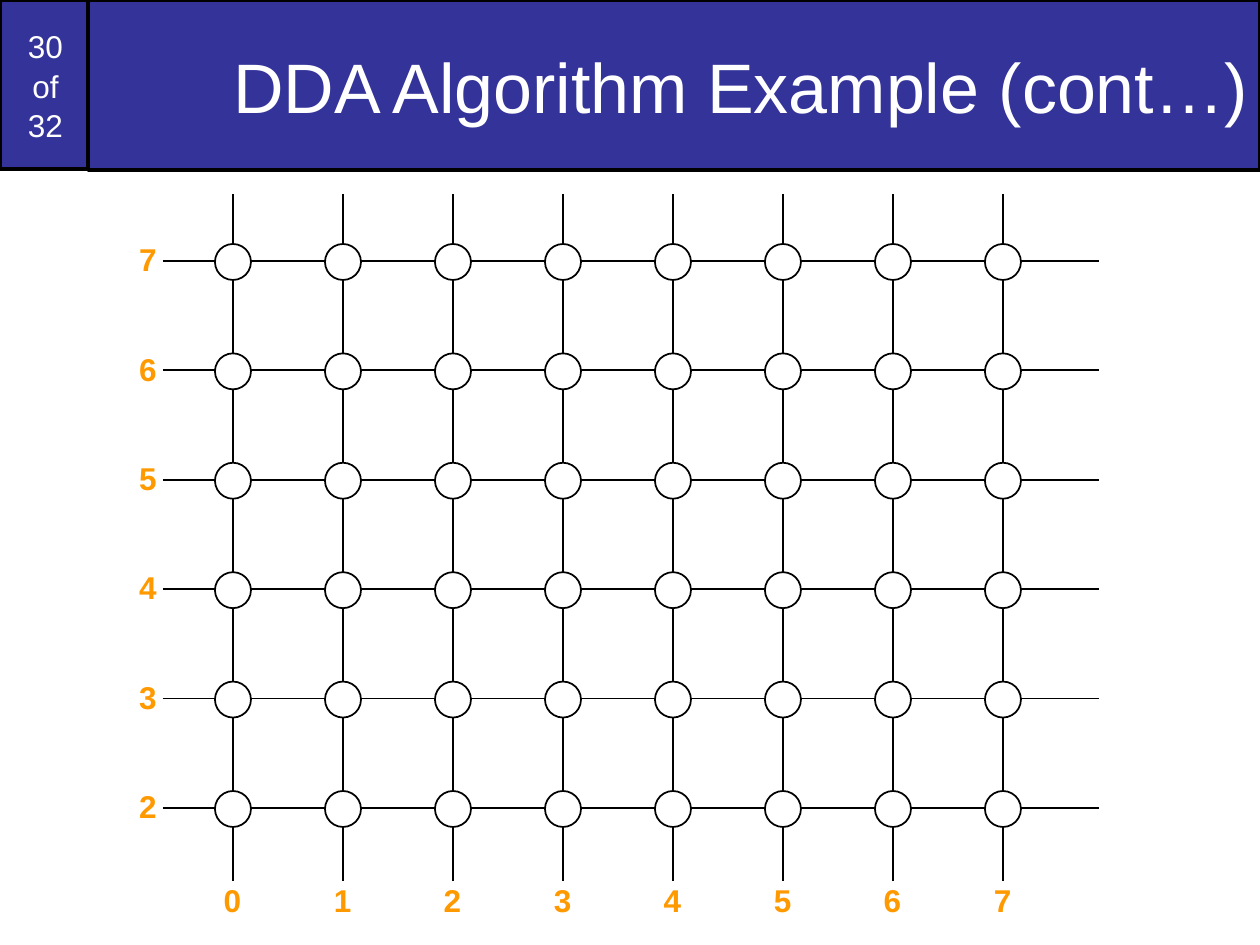
from lxml import etree
from pptx import Presentation
from pptx import util as u
from pptx.dml import color
from pptx.enum import shapes, text
from pptx.oxml import ns

SCALE = 914400 / 126
NAVY, WHITE, BLACK, ORANGE = "333399", "FFFFFF", "000000", "FF9900"
CENTER, RIGHT = text.PP_ALIGN.CENTER, text.PP_ALIGN.RIGHT


def px(n):
    return u.Emu(round(n * SCALE))


def rgb(value):
    return color.RGBColor.from_string(value)


def add_text(sp, lines, size, fill, align, bold=False):
    tf = sp.text_frame
    p = tf.paragraphs[0]
    p.alignment = align
    for i, line in enumerate(lines):
        if i:
            p.add_line_break()
        r = p.add_run()
        r.text = line
        r.font.name = "Arial"
        r.font.size = u.Pt(size)
        r.font.bold = bold
        r.font.color.rgb = rgb(fill)
    return p


def add_filled(s, kind, box, fill, weight):
    sp = s.shapes.add_shape(kind, *map(px, box))
    sp.shadow.inherit = False
    sp.fill.solid()
    sp.fill.fore_color.rgb = rgb(fill)
    sp.line.color.rgb = rgb(BLACK)
    sp.line.width = u.Pt(weight)
    return sp


def add_line(s, x1, y1, x2, y2):
    line = s.shapes.add_connector(
        shapes.MSO_CONNECTOR.STRAIGHT, px(x1), px(y1), px(x2), px(y2))
    line.line.color.rgb = rgb(BLACK)
    line.line.width = u.Pt(1)
    etree.SubElement(line._element.spPr, ns.qn("a:effectLst"))


def add_label(s, x, y, label, align):
    sp = s.shapes.add_textbox(px(x), px(y), px(43), px(50))
    sp.text_frame.word_wrap = False
    sp.text_frame.auto_size = text.MSO_AUTO_SIZE.SHAPE_TO_FIT_TEXT
    add_text(sp, [label], 18, ORANGE, align, bold=True)


def add_header(s, left, top, width, height):
    rect = shapes.MSO_SHAPE.RECTANGLE
    counter = add_filled(s, rect, (left, top, 91, height - 1), NAVY, 2)
    title = add_filled(s, rect, (left + 88, top, width - 88, height), NAVY, 2)
    for sp in (counter, title):
        sp.text_frame.word_wrap = True
        sp.text_frame.vertical_anchor = text.MSO_ANCHOR.MIDDLE
    p = add_text(counter, ["30", "of", "32"], 18, WHITE, CENTER)
    p.line_spacing = 1.05
    add_text(title, ["DDA Algorithm Example (cont…)"], 40, WHITE, RIGHT)


def add_pixel_grid(s, left, top, width, height):
    columns = {n: left + 70 + 110 * n for n in range(8)}
    rows = {n: top + 67 + 547 * (7 - n) / 5 for n in range(7, 1, -1)}
    for y in rows.values():
        add_line(s, left, y, left + width, y)
    for x in columns.values():
        add_line(s, x, top, x, top + height)
    for y in rows.values():
        for x in columns.values():
            add_filled(s, shapes.MSO_SHAPE.OVAL, (x - 18, y - 17, 36, 36), WHITE, 1)
    for n, y in rows.items():
        add_label(s, left - 37, y - 27, str(n), RIGHT)
    for n, x in columns.items():
        add_label(s, x - 22, top + height - 6, str(n), CENTER)


def main():
    prs = Presentation()
    prs.slide_width, prs.slide_height = px(1260), px(945)
    s = prs.slides.add_slide(prs.slide_layouts[6])
    add_header(s, 0, 0, 1260, 170)
    add_pixel_grid(s, 163, 194, 936, 687)
    prs.save("out.pptx")


if __name__ == "__main__":
    main()
